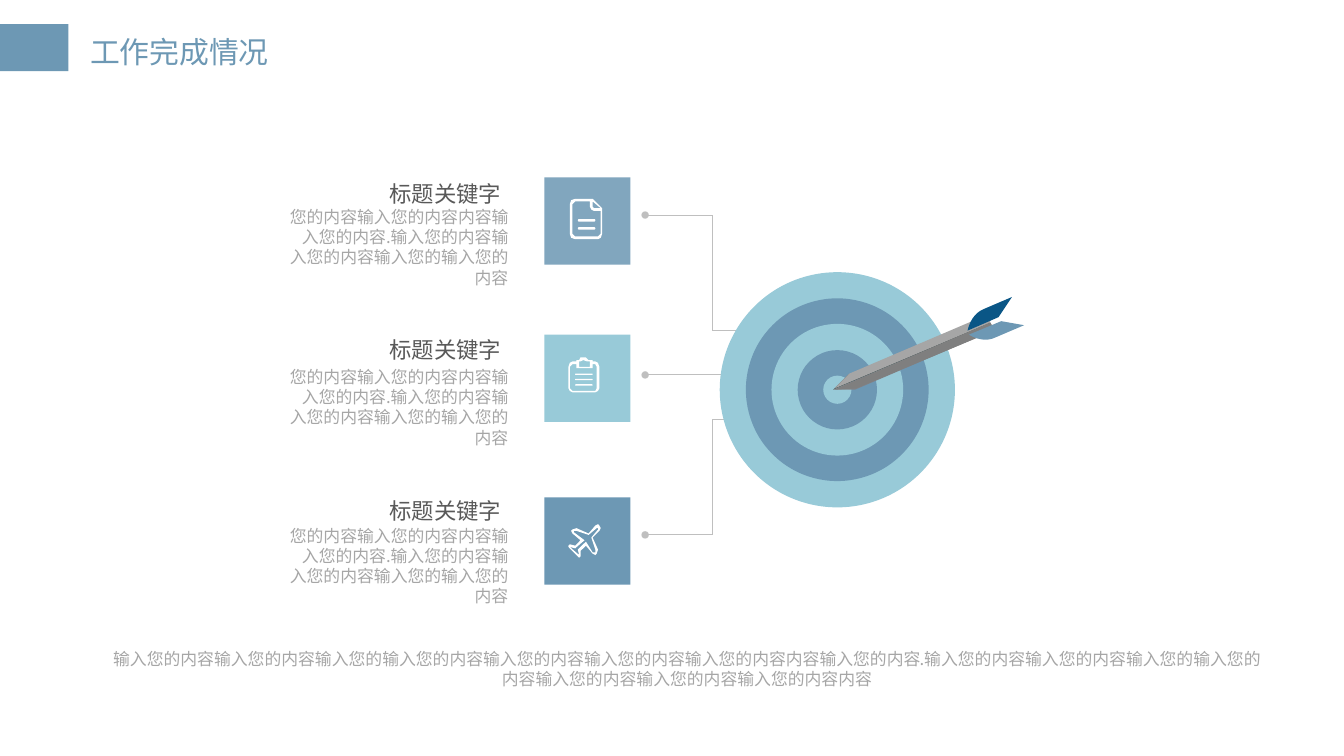
from itertools import pairwise
from math import cos, pi, sin

from lxml.etree import SubElement
from pptx import Presentation
from pptx.dml.color import RGBColor
from pptx.enum.shapes import MSO_CONNECTOR, MSO_SHAPE
from pptx.enum.text import MSO_ANCHOR, MSO_AUTO_SIZE, PP_ALIGN
from pptx.oxml.ns import qn
from pptx.util import Inches, Pt

FONT = "Noto Sans CJK SC"
COLORS = {
    "blue": "6D98B4", "aqua": "98CAD8", "navy": "0A5686", "white": "FFFFFF",
    "heading": "595959", "body": "A6A6A6", "rule": "BFBFBF",
    "shaft_light": "A6A6A6", "shaft_dark": "7F7F7F", "edge_light": "515D5D", "edge_dark": "828286",
}
TITLE = "工作完成情况"
HEADING = "标题关键字"
BODY = "您的内容输入您的内容内容输入您的内容.输入您的内容输入您的内容输入您的输入您的内容"
FOOTER = (
    "输入您的内容输入您的内容输入您的输入您的内容输入您的内容输入您的内容输入您的内容内容输入您的内容."
    "输入您的内容输入您的内容输入您的输入您的内容输入您的内容输入您的内容输入您的内容内容"
)


def rounded(left, top, right, bottom, radius, steps=4):
    """Return the outline of a rounded rectangle."""
    centers = [(right - radius, bottom - radius), (left + radius, bottom - radius),
               (left + radius, top + radius), (right - radius, top + radius)]
    return [
        (x + radius * cos(angle), y + radius * sin(angle))
        for quarter, (x, y) in enumerate(centers)
        for angle in [pi / 2 * (quarter + step / steps) for step in range(steps + 1)]
    ]


def curve(start, first, second, end, steps=10):
    """Return points along a cubic curve."""
    points = []
    for step in range(steps + 1):
        t = step / steps
        weights = ((1 - t) ** 3, 3 * t * (1 - t) ** 2, 3 * t * t * (1 - t), t ** 3)
        points.append(tuple(sum(w * p[axis] for w, p in zip(weights, (start, first, second, end)))
                            for axis in (0, 1)))
    return points


DOCUMENT = [
    [(4.41, 1.48), (4.28, 1.48), (4.25, 1.49), (4.24, 1.52), (4.24, 1.74), (4.25, 1.77), (4.28, 1.78),
     (4.45, 1.78), (4.47, 1.77), (4.48, 1.74), (4.48, 1.55)],
    [(4.47, 1.74), (4.45, 1.76), (4.28, 1.76), (4.26, 1.74), (4.26, 1.52), (4.28, 1.5), (4.39, 1.5),
     (4.39, 1.54), (4.4, 1.56), (4.42, 1.57), (4.47, 1.57)],
    [(4.42, 1.55), (4.41, 1.54), (4.41, 1.5), (4.47, 1.55)],
] + [rounded(4.3, y, 4.43, y + 0.02, 0.01) for y in (1.63, 1.69)]
CLIPBOARD = [
    [(4.43, 2.69), (4.41, 2.69), (4.41, 2.68), (4.38, 2.68), (4.36, 2.66), (4.32, 2.66), (4.31, 2.68),
     (4.29, 2.68), (4.29, 2.69), (4.26, 2.69), (4.24, 2.7), (4.23, 2.73), (4.23, 2.89), (4.24, 2.91),
     (4.26, 2.92), (4.43, 2.92), (4.45, 2.91), (4.46, 2.89), (4.46, 2.73), (4.45, 2.7)],
    [(4.31, 2.69), (4.32, 2.69), (4.34, 2.68), (4.37, 2.69), (4.39, 2.69), (4.39, 2.73), (4.31, 2.73)],
    [(4.44, 2.89), (4.43, 2.91), (4.26, 2.91), (4.24, 2.89), (4.24, 2.73), (4.26, 2.71), (4.29, 2.71),
     (4.29, 2.74), (4.41, 2.74), (4.41, 2.71), (4.43, 2.71), (4.44, 2.73)],
] + [rounded(4.28, y, 4.41, y + 0.01, 0.01 / 2) for y in (2.78, 2.82, 2.86)]
PLANE = [
    [(4.46, 3.91), (4.45, 3.9), (4.43, 3.91), (4.38, 3.97), (4.29, 3.93), (4.26, 3.94), (4.25, 3.95),
     (4.26, 3.97), (4.32, 4.02), (4.28, 4.06), (4.24, 4.05), (4.23, 4.06), (4.23, 4.07), (4.31, 4.15),
     (4.32, 4.14), (4.32, 4.1), (4.36, 4.06), (4.41, 4.12), (4.43, 4.13), (4.44, 4.12), (4.45, 4.09),
     (4.41, 4), (4.46, 3.95), (4.47, 3.93)],
    [(4.45, 3.94), (4.4, 4), (4.43, 4.09), (4.43, 4.11), (4.41, 4.11), (4.36, 4.03), (4.3, 4.09),
     (4.31, 4.13), (4.24, 4.07), (4.28, 4.08), (4.35, 4.02), (4.27, 3.96), (4.27, 3.95), (4.29, 3.95),
     (4.38, 3.98), (4.44, 3.93), (4.45, 3.93)],
]
ROWS = [
    {"heading": 1.24, "tile": 1.32, "body": 1.49, "dot": 1.6, "target": 2.46,
     "color": "blue", "alpha": 86, "icon": DOCUMENT},
    {"heading": 2.4, "tile": 2.49, "body": 2.68, "dot": 2.79, "target": 2.79,
     "color": "aqua", "alpha": 100, "icon": CLIPBOARD},
    {"heading": 3.6, "tile": 3.7, "body": 3.86, "dot": 3.98, "target": 3.12,
     "color": "blue", "alpha": 100, "icon": PLANE},
]
DOT_X, BEND_X, TARGET_X = 4.8, 5.3, 5.92
TARGET_CENTER = (6.23, 2.9)
RINGS = [(1.75, "aqua"), (1.36, "blue"), (0.98, "aqua"), (0.59, "blue"), (0.21, "aqua")]
DART = [
    ("edge_light", [(6.31, 2.79), (7.34, 2.35), (7.36, 2.41), (6.2, 2.9)]),
    ("edge_dark", [(6.36, 2.9), (7.39, 2.46), (7.36, 2.41), (6.2, 2.9)]),
    ("shaft_light", [(6.32, 2.78), (7.35, 2.34), (7.37, 2.4), (6.21, 2.89)]),
    ("shaft_dark", [(6.37, 2.89), (7.4, 2.46), (7.37, 2.4), (6.21, 2.9)]),
    ("navy", curve((7.2, 2.46), (7.2, 2.46), (7.22, 2.34), (7.32, 2.3)) + [(7.53, 2.21), (7.43, 2.36)]),
    ("blue", curve((7.21, 2.49), (7.21, 2.49), (7.31, 2.56), (7.41, 2.51)) + [(7.62, 2.42), (7.45, 2.39)]),
]

presentation = Presentation()
presentation.slide_width = Inches(10)
presentation.slide_height = Inches(10 * 9 / 16)
slide = presentation.slides.add_slide(presentation.slide_layouts[5])
shapes = slide.shapes


def place(shape, box):
    """Move a shape to a box given in inches."""
    shape.left, shape.top, shape.width, shape.height = map(Inches, box)


def write(text, *, box, size, color, align=PP_ALIGN.LEFT, margins=(0.1, 0.05), wrap=True, shape=None):
    """Write one paragraph in a new text box or in the given shape."""
    shape = shape or shapes.add_textbox(0, 0, 0, 0)
    place(shape, box)
    frame = shape.text_frame
    frame.auto_size = MSO_AUTO_SIZE.NONE
    frame.word_wrap = wrap
    frame.vertical_anchor = MSO_ANCHOR.TOP
    frame.margin_left = frame.margin_right = Inches(margins[0])
    frame.margin_top = frame.margin_bottom = Inches(margins[1])
    paragraph = frame.paragraphs[0]
    paragraph.alignment = align
    paragraph.line_spacing = Pt(round(size * 1.2, 1))
    run = paragraph.add_run()
    run.text = text
    run.font.size = Pt(size)
    run.font.name = FONT
    run.font.color.rgb = RGBColor.from_string(COLORS[color])
    SubElement(run.font._element, qn("a:ea"), typeface=FONT)


def paint(shape, color, alpha=100):
    """Give a shape a plain fill without line or shadow."""
    shape.shadow.inherit = False
    shape.line.fill.background()
    shape.fill.solid()
    shape.fill.fore_color.rgb = RGBColor.from_string(COLORS[color])
    if alpha < 100:
        value = shape._element.spPr.find(f".//{qn('a:srgbClr')}")
        SubElement(value, qn("a:alpha"), val=str(alpha * 1000))


def add_preset(kind, box, color, alpha=100):
    """Add a filled preset shape."""
    paint(shapes.add_shape(kind, *map(Inches, box)), color, alpha)


def add_outline(contours, color):
    """Add a filled freeform made of closed contours."""
    contours = [[(Inches(x), Inches(y)) for x, y in contour] for contour in contours]
    builder = shapes.build_freeform(*contours[0][0])
    builder.add_line_segments(contours[0][1:], close=True)
    for contour in contours[1:]:
        builder.move_to(*contour[0])
        builder.add_line_segments(contour[1:], close=True)
    paint(builder.convert_to_shape(), color)


def add_link(start, end, dotted):
    """Add a thin line, with a dot at its end if wanted."""
    connector = shapes.add_connector(MSO_CONNECTOR.STRAIGHT, *map(Inches, start + end))
    connector.line.width = Pt(0.5)
    connector.line.color.rgb = RGBColor.from_string(COLORS["rule"])
    if dotted:
        SubElement(connector.line._get_or_add_ln(), qn("a:tailEnd"), type="oval", w="sm", len="sm")
    SubElement(connector._element.spPr, qn("a:effectLst"))


add_preset(MSO_SHAPE.RECTANGLE, (0, 0.18, 0.51, 0.35), "blue")
write(TITLE, shape=shapes.title, box=(0.59, 0.21, 1.5, 0.35), size=16, color="blue",
      margins=(0.08, 0.04), wrap=False)
write(FOOTER, box=(0.81, 4.83, 8.6, 0.3), size=9, color="body", align=PP_ALIGN.CENTER, margins=(0, 0))

for row in ROWS:
    dot, target = row["dot"], row["target"]
    bends = [] if dot == target else [(BEND_X, target), (BEND_X, dot)]
    for start, end in pairwise([(TARGET_X, target), *bends, (DOT_X, dot)]):
        add_link(start, end, dotted=end[0] == DOT_X)
    write(HEADING, box=(1.95, row["heading"], 1.98, 0.4), size=12, color="heading",
          align=PP_ALIGN.RIGHT, margins=(0.2, 0.1))
    add_preset(MSO_SHAPE.RECTANGLE, (4.05, row["tile"], 0.64, 0.65), row["color"], row["alpha"])
    add_outline(row["icon"], "white")
    write(BODY, box=(2.03, row["body"], 1.85, 0.71), size=9, color="body", align=PP_ALIGN.RIGHT)

for diameter, color in RINGS:
    left, top = (center - diameter / 2 for center in TARGET_CENTER)
    add_preset(MSO_SHAPE.OVAL, (left, top, diameter, diameter), color)
for color, outline in DART:
    add_outline([outline], color)

presentation.save("out.pptx")
